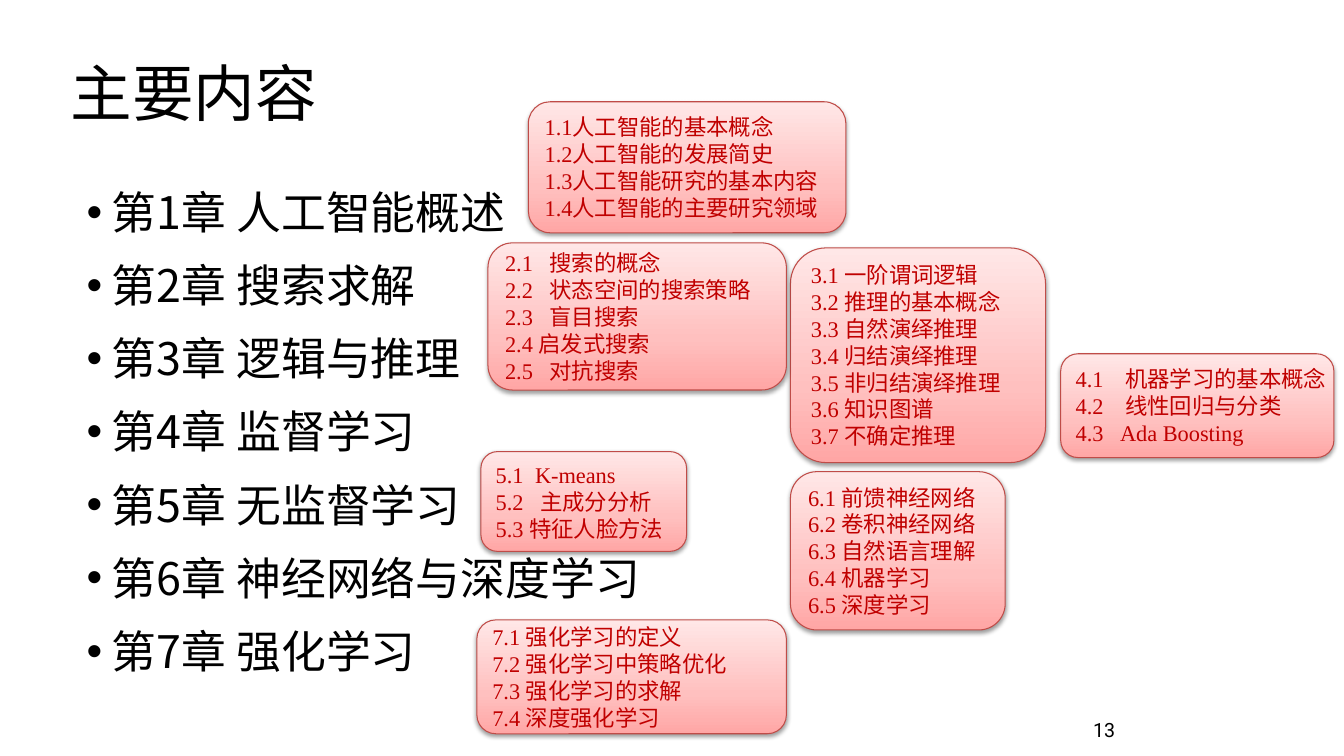
from lxml import etree
from pptx import Presentation
from pptx.dml.color import RGBColor
from pptx.enum.shapes import MSO_SHAPE
from pptx.enum.text import MSO_ANCHOR, MSO_AUTO_SIZE, PP_ALIGN
from pptx.oxml.ns import qn
from pptx.util import Pt

ROUND = MSO_SHAPE.ROUNDED_RECTANGLE
MIDDLE, BOTTOM, TOP = MSO_ANCHOR.MIDDLE, MSO_ANCHOR.BOTTOM, MSO_ANCHOR.TOP
LEFT, RIGHT = PP_ALIGN.LEFT, PP_ALIGN.RIGHT
FIXED = MSO_AUTO_SIZE.NONE
PX = 9144
HAN = "Noto Sans CJK SC"
STOPS = [(0, "FFA6A5"), (35000, "FFC0BF"), (100000, "FFE7E7")]


def style(para, face, size, color, align=LEFT):
    para.alignment = align
    font = para.font
    font.name, font.size = face, Pt(size)
    font.color.rgb = RGBColor.from_string(color)
    props = para._p.get_or_add_pPr().find(qn("a:defRPr"))
    etree.SubElement(props, qn("a:ea"), typeface=HAN)


def place(shape, left, top, width, height, anchor):
    shape.left, shape.top = left * PX, top * PX
    shape.width, shape.height = width * PX, height * PX
    frame = shape.text_frame
    frame.auto_size = FIXED
    frame.word_wrap = True
    frame.vertical_anchor = anchor
    return frame


deck = Presentation()
deck.slide_width, deck.slide_height = 1333 * PX, 750 * PX
slide = deck.slides.add_slide(deck.slide_layouts[1])

frame = place(slide.shapes.title, 60, 29, 1150, 134, MIDDLE)
frame.text = "主要内容"
para = frame.paragraphs[0]
para.line_spacing = 0.9
style(para, HAN, 44, "000000")

topics = ["人工智能概述", "搜索求解", "逻辑与推理", "监督学习",
          "无监督学习", "神经网络与深度学习", "强化学习"]
frame = place(slide.placeholders[1], 76, 173, 622, 556, TOP)
frame.text = "\n".join(f"第{n}章 {topic}" for n, topic in enumerate(topics, 1))
for n, para in enumerate(frame.paragraphs):
    props = para._p.get_or_add_pPr()
    props.set("marL", str(25 * PX))
    props.set("indent", str(-25 * PX))
    para.line_spacing = 1.1
    para.space_before = Pt(10 if n else 0)
    etree.SubElement(props, qn("a:buFont"), typeface="Arial")
    etree.SubElement(props, qn("a:buChar"), char="•")
    style(para, HAN, 32, "000000")

page = slide.shapes.add_textbox(0, 0, PX, PX)
frame = place(page, 908, 691, 208, 50, BOTTOM)
frame.text = "13"
style(frame.paragraphs[0], "Roboto", 14, "000000", RIGHT)

cards = [
    (473, 615, 307, 113, 0, ["7.1 强化学习的定义", "7.2 强化学习中策略优化",
                             "7.3 强化学习的求解", "7.4 深度强化学习"]),
    (784, 468, 213, 157, 0, ["6.1 前馈神经网络", "6.2 卷积神经网络",
                             "6.3 自然语言理解", "6.4 机器学习", "6.5 深度学习"]),
    (477, 448, 204, 99, 44, ["5.1\tK-means", "5.2\t主成分分析",
                             "5.3 特征人脸方法"]),
    (1052, 351, 271, 103, 49, ["4.1\t机器学习的基本概念", "4.2\t线性回归与分类",
                               "4.3\tAda Boosting"]),
    (784, 246, 253, 213, 0, ["3.1 一阶谓词逻辑", "3.2 推理的基本概念",
                             "3.3 自然演绎推理", "3.4 归结演绎推理",
                             "3.5 非归结演绎推理", "3.6 知识图谱", "3.7 不确定推理"]),
    (484, 241, 296, 146, 44, ["2.1\t搜索的概念", "2.2\t状态空间的搜索策略",
                              "2.3\t盲目搜索", "2.4 启发式搜索", "2.5\t对抗搜索"]),
    (524, 101, 315, 130, 0, ["1.1人工智能的基本概念", "1.2人工智能的发展简史",
                             "1.3人工智能研究的基本内容", "1.4人工智能的主要研究领域"]),
]
for left, top, width, height, tab, lines in cards:
    card = slide.shapes.add_shape(ROUND, 0, 0, PX, PX)
    frame = place(card, left, top, width, height, MIDDLE)
    frame.word_wrap = False
    frame.margin_top = frame.margin_bottom = 0

    card.fill.gradient()
    card.fill.gradient_angle = 90
    grad = card._element.spPr.find(qn("a:gradFill")).find(qn("a:gsLst"))
    for stop in list(grad):
        grad.remove(stop)
    for pos, color in STOPS:
        stop = etree.SubElement(grad, qn("a:gs"), pos=str(pos))
        etree.SubElement(stop, qn("a:srgbClr"), val=color)
    card.line.color.rgb = RGBColor.from_string("BF4C48")
    card.line.width = Pt(0.75)

    card.shadow.inherit = False
    effect = card._element.spPr.find(qn("a:effectLst"))
    shade = etree.SubElement(effect, qn("a:outerShdw"), blurRad="40000",
                             dist="20000", dir="5400000", rotWithShape="0")
    black = etree.SubElement(shade, qn("a:srgbClr"), val="000000")
    etree.SubElement(black, qn("a:alpha"), val="38000")

    frame.text = "\n".join(lines)
    for para, line in zip(frame.paragraphs, lines):
        para.line_spacing = Pt(19.2)
        if "\t" in line:
            stop = tab - 5 if line.isascii() else tab
            tabs = etree.SubElement(para._p.get_or_add_pPr(), qn("a:tabLst"))
            etree.SubElement(tabs, qn("a:tab"), pos=str(stop * PX), algn="l")
        style(para, "Times New Roman", 16, "C00000")

deck.save("out.pptx")
